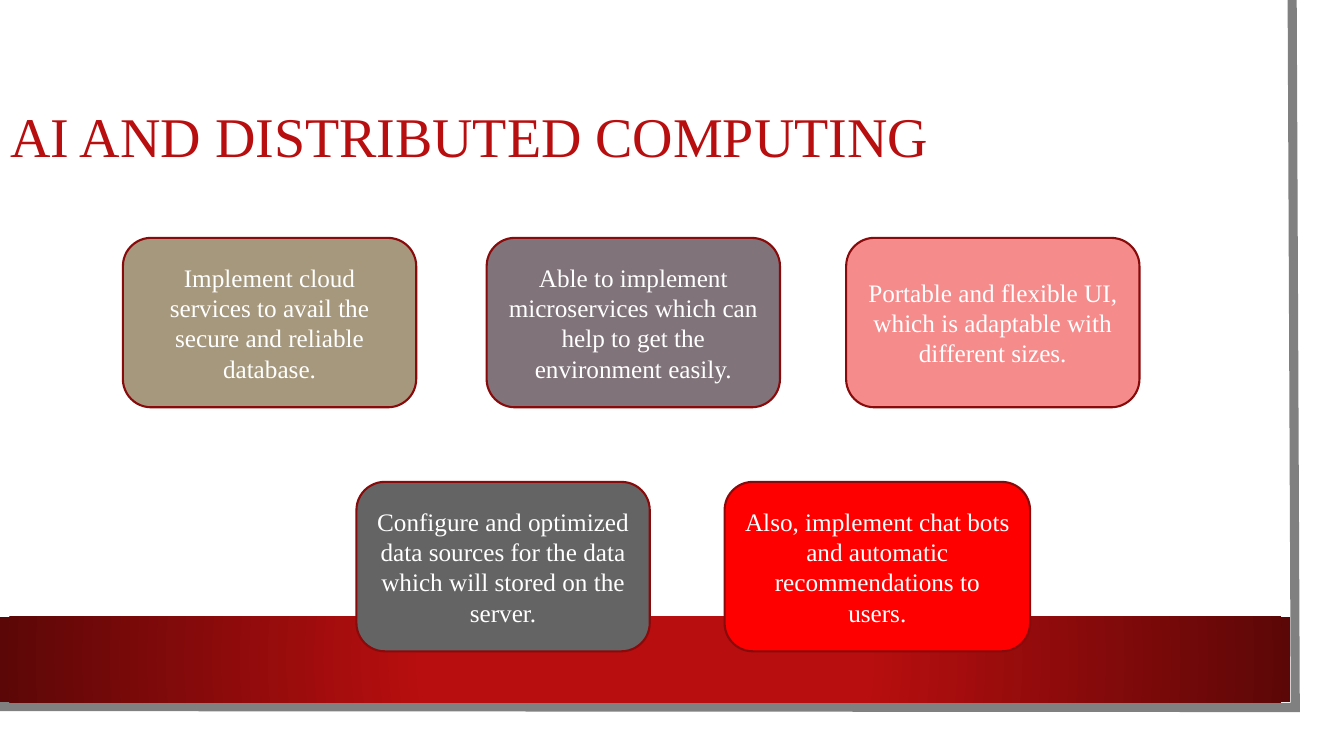
import lxml.etree
import pptx
import pptx.dml.color
import pptx.enum.shapes
import pptx.enum.text
import pptx.oxml.ns
import pptx.util

Pt = pptx.util.Pt
SHAPE = pptx.enum.shapes.MSO_SHAPE
ALIGN = pptx.enum.text.PP_ALIGN
MIDDLE = pptx.enum.text.MSO_ANCHOR.MIDDLE
NO_FIT = pptx.enum.text.MSO_AUTO_SIZE.NONE
FONT = "Times New Roman"

TOP_ROW = [
    (87.8, 209.5, "A6987D", "Implement cloud services to avail the secure and reliable database."),
    (347.6, 209.5, "80737A", "Able to implement microservices which can help to get the environment easily."),
    (604.4, 209.5, "F68B8C", "Portable and flexible UI, which is adaptable with different sizes."),
]
LOW_ROW = [
    (254.6, 209.5, "646464", "Configure and optimized data sources for the data which will stored on the server."),
    (517.6, 218.2, "FF0000", "Also, implement chat bots and automatic recommendations to users."),
]


def color(code):
    return pptx.dml.color.RGBColor.from_string(code)


def apply(item, values):
    for name, value in values.items():
        setattr(item, name, value)


def place(shape, left, top, width, height):
    apply(shape, {"left": Pt(left), "top": Pt(top), "width": Pt(width), "height": Pt(height)})


def write(shape, text, size, code, align, space=1.0):
    frame = shape.text_frame
    frame.text = text
    apply(frame, {"word_wrap": True, "auto_size": NO_FIT, "vertical_anchor": MIDDLE})
    para = frame.paragraphs[0]
    apply(para, {"alignment": align, "line_spacing": space})
    font = para.runs[0].font
    apply(font, {"name": FONT, "size": Pt(size)})
    font.color.rgb = color(code)


def outline(shape, code, width):
    shape.line.color.rgb = color(code)
    shape.line.width = Pt(width)


def add_frame(slide):
    pen = slide.shapes.build_freeform(Pt(923), Pt(0))
    pen.add_line_segments([(Pt(925.2), Pt(505.4)), (Pt(-2.2), Pt(504.7))], close=False)
    edge = pen.convert_to_shape()
    edge.shadow.inherit = False
    edge.fill.background()
    outline(edge, "808080", 6.5)
    qn = pptx.oxml.ns.qn
    line = edge.line.fill and edge.element.spPr.find(qn("a:ln"))
    lxml.etree.SubElement(line, qn("a:miter"), lim="800000")


def add_band(slide):
    band = slide.shapes.add_shape(SHAPE.RECTANGLE, Pt(0), Pt(440.6), Pt(921.6), Pt(61.2))
    band.shadow.inherit = False
    band.line.fill.background()
    band.fill.gradient()
    stops = [(0.34, "B80E0F"), (1.0, "5C0707")]
    for stop, (spot, code) in zip(band.fill.gradient_stops, stops):
        stop.position = spot
        stop.color.rgb = color(code)
    qn = pptx.oxml.ns.qn
    grad = band.element.spPr.find(qn("a:gradFill"))
    grad.remove(grad.find(qn("a:lin")))
    glow = lxml.etree.SubElement(grad, qn("a:path"), path="circle")
    sides = dict.fromkeys("ltrb", "50000")
    lxml.etree.SubElement(glow, qn("a:fillToRect"), sides)


def add_title(slide, text):
    title = slide.shapes.title
    place(title, 0, 54, 818.6, 90.7)
    write(title, text, 40, "B80E0F", ALIGN.LEFT, 0.9)


def add_card(slide, left, top, width, code, text):
    card = slide.shapes.add_shape(
        SHAPE.ROUNDED_RECTANGLE, Pt(left), Pt(top), Pt(width), Pt(121)
    )
    card.shadow.inherit = False
    card.fill.solid()
    card.fill.fore_color.rgb = color(code)
    outline(card, "880A0B", 1.5)
    write(card, text, 18, "FFFFFF", ALIGN.CENTER)


def main():
    deck = pptx.Presentation()
    apply(deck, {"slide_width": Pt(960), "slide_height": Pt(540)})
    slide = deck.slides.add_slide(deck.slide_layouts[5])
    add_frame(slide)
    add_band(slide)
    add_title(slide, "AI AND DISTRIBUTED COMPUTING")
    for top, row in [(169.9, TOP_ROW), (344.2, LOW_ROW)]:
        for left, width, code, text in row:
            add_card(slide, left, top, width, code, text)
    deck.save("out.pptx")


if __name__ == "__main__":
    main()
